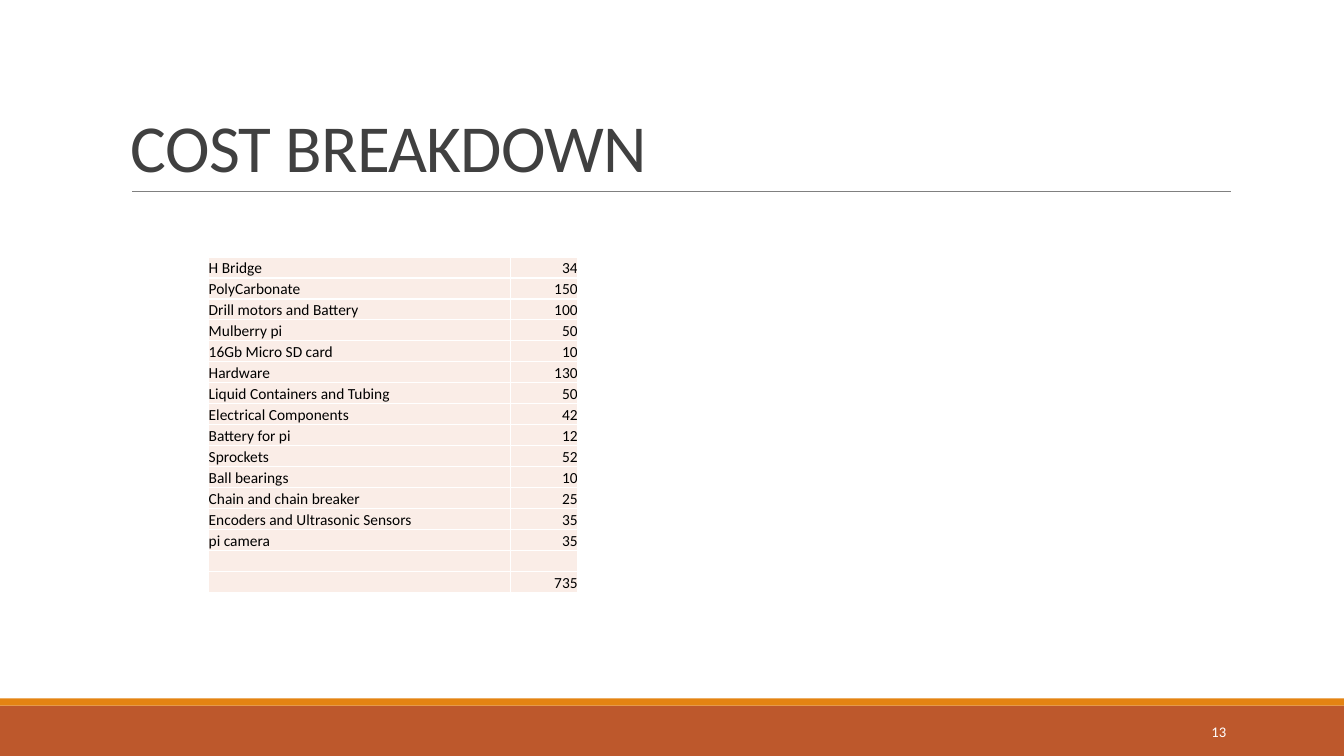
from dataclasses import dataclass

from lxml.etree import SubElement
from pptx import Presentation
from pptx.dml.color import RGBColor
from pptx.enum.shapes import MSO_CONNECTOR as Connector, MSO_SHAPE as Shape
from pptx.enum.text import MSO_ANCHOR as Anchor, PP_ALIGN as Align
from pptx.oxml.ns import qn
from pptx.util import Inches, Pt


@dataclass(frozen=True)
class Theme:
    font: str = "Calibri"
    rust: str = "BD582C"
    orange: str = "E48312"
    rule: str = "808080"
    title: str = "404040"
    body: str = "000000"
    white: str = "FFFFFF"
    cell: str = "FAEDE7"
    title_size: float = 48
    table_size: float = 11
    number_size: float = 10.5


theme = Theme()


def write(frame, text, *, size, color, align=Align.LEFT, line_spacing=None, tracking=None):
    para = frame.paragraphs[0]
    para.alignment = align
    para.line_spacing = line_spacing
    if not text:
        # An empty cell keeps its row low through its end mark
        SubElement(para._p, qn("a:endParaRPr"), sz=str(int(size * 100)))
        return
    span = para.add_run()
    span.text = text
    span.font.name = theme.font
    span.font.size = Pt(size)
    span.font.color.rgb = RGBColor.from_string(color)
    if tracking is not None:
        span.font._element.set("spc", str(int(tracking * 100)))


def border_cell(cell, color, width):
    properties = cell._tc.get_or_add_tcPr()
    for side in ("lnL", "lnR", "lnT", "lnB"):
        line = SubElement(properties, qn(f"a:{side}"), w=str(Pt(width)))
        SubElement(SubElement(line, qn("a:solidFill")), qn("a:srgbClr"), val=color)


deck = Presentation()
deck.slide_width, deck.slide_height = Inches(13.33), Inches(7.5)
page = deck.slides.add_slide(deck.slide_layouts[6])

# Footer bands
for top, height, color in ((7, 0.5, theme.rust), (6.93, 0.07, theme.orange)):
    band = page.shapes.add_shape(Shape.RECTANGLE, 0, Inches(top), deck.slide_width, Inches(height))
    band.shadow.inherit = False
    band.fill.solid()
    band.fill.fore_color.rgb = RGBColor.from_string(color)
    band.line.fill.background()

# Rule under the title
rule = page.shapes.add_connector(
    Connector.STRAIGHT, Inches(1.31), Inches(1.9), Inches(12.21), Inches(1.9))
rule.line.color.rgb = RGBColor.from_string(theme.rule)
rule.line.width = Pt(0.5)
SubElement(rule._element.spPr, qn("a:effectLst"))

# Title and page number
labels = (
    ("COST BREAKDOWN", (1.2, 0.31, 11, 1.59), Anchor.BOTTOM,
     dict(size=theme.title_size, color=theme.title, line_spacing=0.85, tracking=-0.5)),
    ("13", (10.83, 7.06, 1.43, 0.4), Anchor.MIDDLE,
     dict(size=theme.number_size, color=theme.white, align=Align.RIGHT)),
)
for text, place, anchor, style in labels:
    box = page.shapes.add_textbox(*map(Inches, place))
    box.text_frame.word_wrap = True
    box.text_frame.vertical_anchor = anchor
    write(box.text_frame, text, **style)

# Cost table
costs = [
    ("H Bridge", 34),
    ("PolyCarbonate", 150),
    ("Drill motors and Battery", 100),
    ("Mulberry pi", 50),
    ("16Gb Micro SD card", 10),
    ("Hardware", 130),
    ("Liquid Containers and Tubing", 50),
    ("Electrical Components", 42),
    ("Battery for pi", 12),
    ("Sprockets", 52),
    ("Ball bearings", 10),
    ("Chain and chain breaker", 25),
    ("Encoders and Ultrasonic Sensors", 35),
    ("pi camera", 35),
]
total = sum(cost for _, cost in costs)
rows = costs + [("", ""), ("", total)]

table_height = Inches(3.33)
table = page.shapes.add_table(
    len(rows), 2, Inches(2.07), Inches(2.55), Inches(3.66), table_height).table
table.first_row = table.horz_banding = False
for column, width in zip(table.columns, (2.99, 0.67)):
    column.width = Inches(width)
for row, values in zip(table.rows, rows):
    row.height = table_height // len(rows)
    for cell, value, align in zip(row.cells, values, (Align.LEFT, Align.RIGHT)):
        cell.margin_left = cell.margin_right = cell.margin_top = cell.margin_bottom = 0
        cell.vertical_anchor = Anchor.BOTTOM
        border_cell(cell, theme.white, 1)
        cell.fill.solid()
        cell.fill.fore_color.rgb = RGBColor.from_string(theme.cell)
        write(cell.text_frame, str(value), size=theme.table_size, color=theme.body, align=align)

deck.save("out.pptx")
